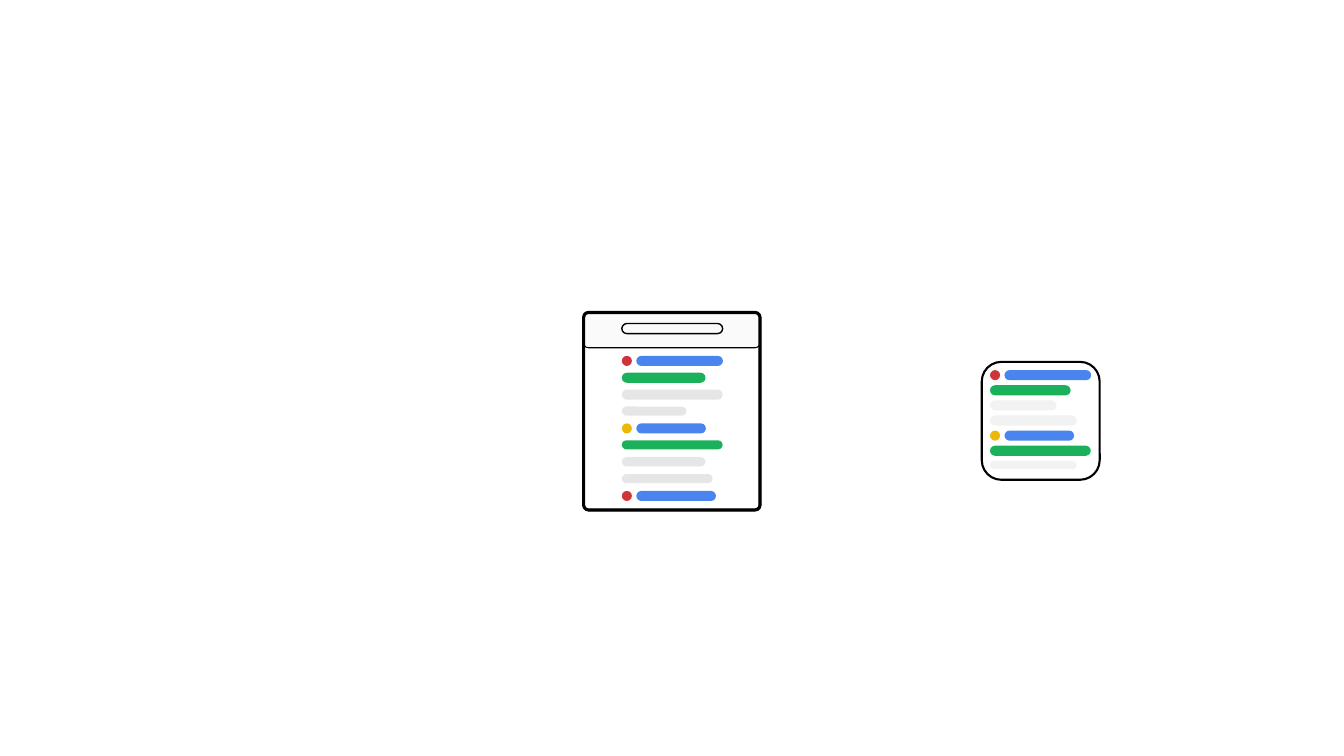
from dataclasses import dataclass
from typing import Optional, Union

from pptx import Presentation
from pptx.dml.color import RGBColor
from pptx.enum import shapes
from pptx.shapes import autoshape, shapetree
from pptx.util import Pt

BLACK = RGBColor(0x00, 0x00, 0x00)
WHITE = RGBColor(0xFF, 0xFF, 0xFF)
TOOLBAR = RGBColor(0xFA, 0xFA, 0xFA)
RED = RGBColor(0xCF, 0x34, 0x3A)
YELLOW = RGBColor(0xED, 0xB9, 0x08)
BLUE = RGBColor(0x49, 0x84, 0xEF)
GREEN = RGBColor(0x1B, 0xB1, 0x5B)
PALE_GREY = RGBColor(0xF2, 0xF2, 0xF2)
GREY = RGBColor(0xE7, 0xE6, 0xE6)

DOT_SIZE = 7.2
DOT_STEP = 10.3

Tree = Union[shapetree.SlideShapes, shapetree.GroupShapes]


@dataclass(frozen=True)
class Box:
    left: float
    top: float
    width: float
    height: float


@dataclass(frozen=True)
class Row:
    width: float
    color: RGBColor
    height: float = 7.2
    dot: Optional[RGBColor] = None


CARD = Box(701.28, 258.48, 84.24, 84.24)
CARD_ROWS = [
    Row(61.9, BLUE, dot=RED),
    Row(57.6, GREEN),
    Row(47.5, PALE_GREY),
    Row(61.9, PALE_GREY),
    Row(49.7, BLUE, dot=YELLOW),
    Row(72, GREEN),
    Row(61.9, PALE_GREY, 5.8),
]

WINDOW = Box(416.88, 223.2, 126, 141.12)
HEADER = Box(416.88, 223.2, 126, 25.2)
SEARCH_FIELD = Box(444.2, 231.1, 72, 7.2)
WINDOW_ROWS = [
    Row(61.9, BLUE, dot=RED),
    Row(59.8, GREEN),
    Row(72, GREY),
    Row(46.1, GREY, 6.5),
    Row(49.7, BLUE, dot=YELLOW),
    Row(72, GREEN, 6.5),
    Row(59.8, GREY, 6.5),
    Row(64.8, GREY, 6.5),
    Row(56.9, BLUE, dot=RED),
]


def add_round(tree: Tree, box: Box, radius: float = 0.5,
              fill: Optional[RGBColor] = None,
              line_width: float = 0) -> autoshape.Shape:
    s = tree.add_shape(
        shapes.MSO_SHAPE.ROUNDED_RECTANGLE,
        Pt(box.left), Pt(box.top), Pt(box.width), Pt(box.height))
    s.adjustments[0] = radius
    s.shadow.inherit = False
    if fill is None:
        s.fill.background()
    else:
        s.fill.solid()
        s.fill.fore_color.rgb = fill
    if line_width:
        s.line.color.rgb = BLACK
        s.line.width = Pt(line_width)
    else:
        s.line.fill.background()
    return s


def add_rows(tree: Tree, rows: list[Row], left: float, top: float,
             pitch: float) -> None:
    for i, row in enumerate(rows):
        y = top + i * pitch
        x = left
        if row.dot is not None:
            add_round(tree, Box(x, y, DOT_SIZE, DOT_SIZE), fill=row.dot)
            x += DOT_STEP
        add_round(tree, Box(x, y, row.width, row.height), fill=row.color)


def main() -> None:
    prs = Presentation()
    prs.slide_width, prs.slide_height = Pt(960), Pt(540)
    slide = prs.slides.add_slide(prs.slide_layouts[6])

    add_round(slide.shapes, CARD, 0.1667, WHITE, 1.5)
    add_rows(slide.shapes, CARD_ROWS, 707.2, 264.4, 10.8)

    window = slide.shapes.add_group_shape().shapes
    add_round(window, WINDOW, 0.028, WHITE, 1.5)
    add_round(window, HEADER, 0.138, TOOLBAR, 0.75)
    add_rows(window, WINDOW_ROWS, 444.2, 254.2, 12.06)
    add_round(window, SEARCH_FIELD, line_width=1)
    add_round(window, WINDOW, 0.028, line_width=2.25)

    prs.save("out.pptx")


if __name__ == "__main__":
    main()
